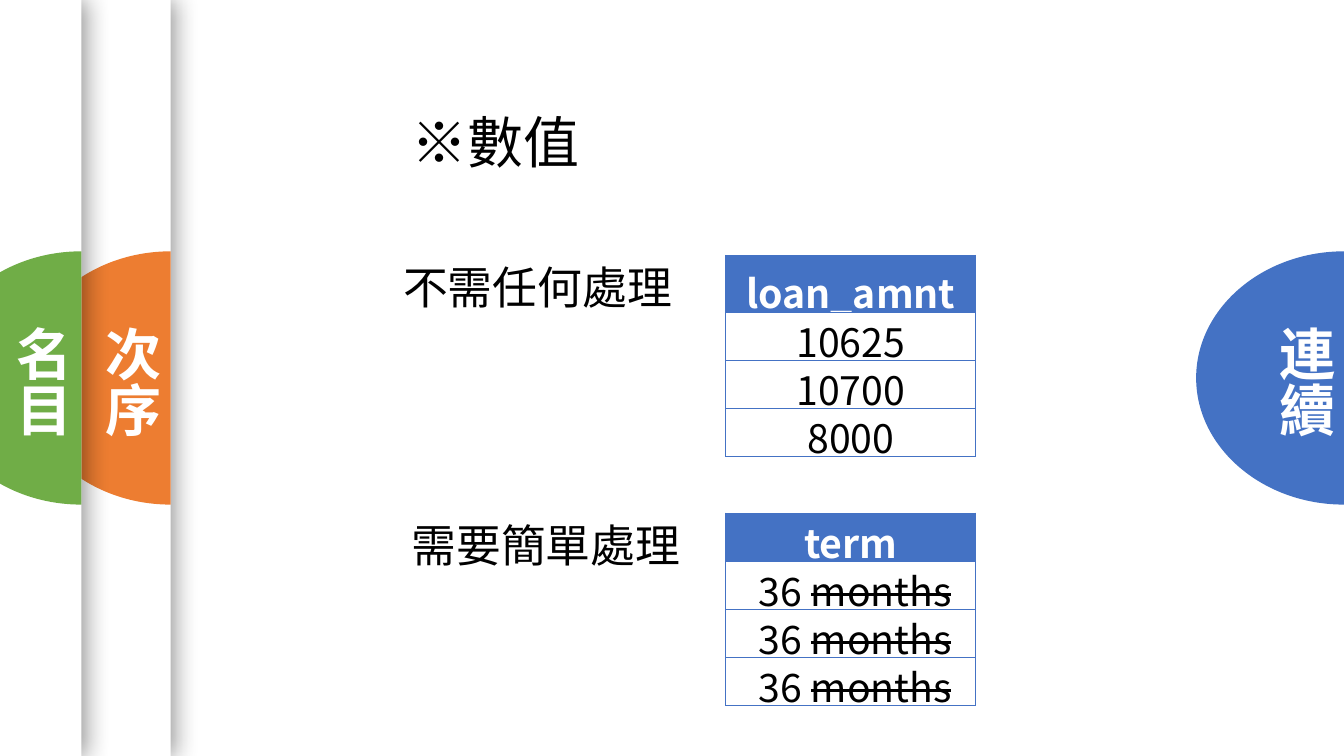
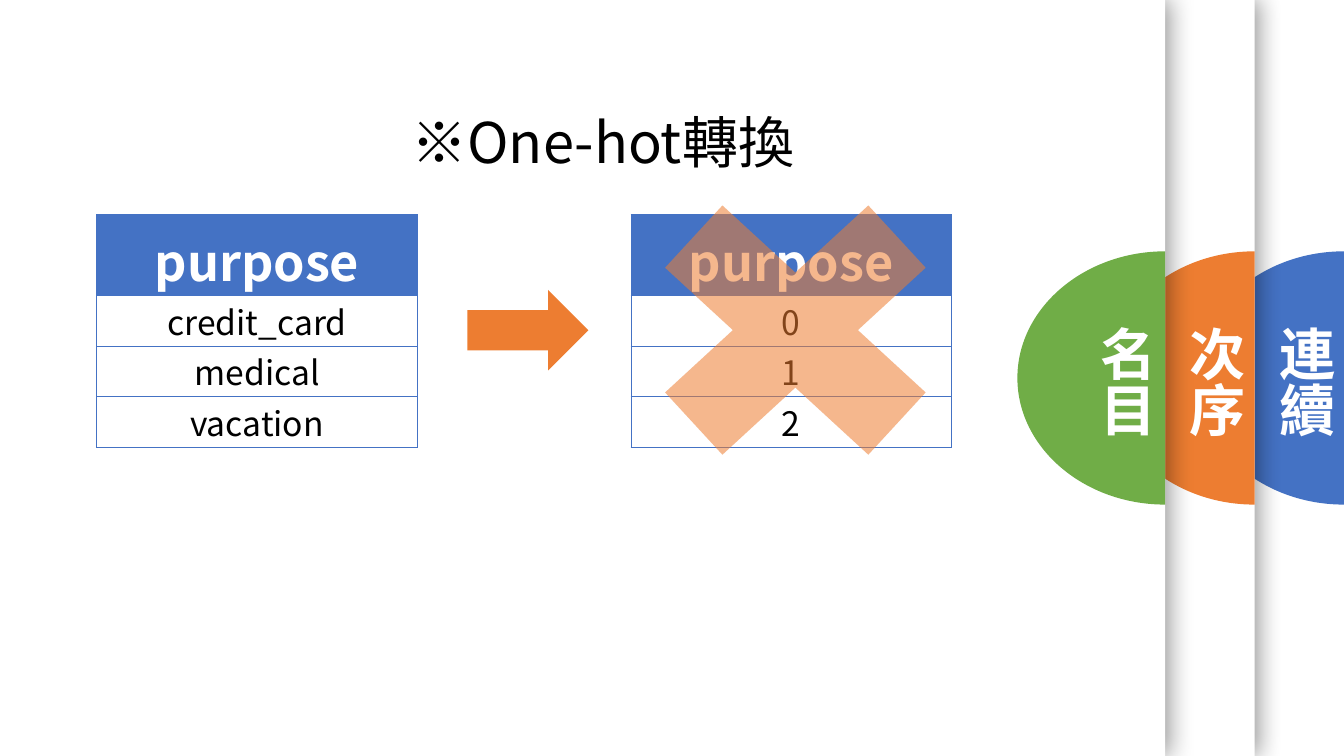
"""Build two slides on preparing numeric and nominal loan columns."""
import lxml.etree
import pptx
import pptx.dml.color
import pptx.enum.shapes
import pptx.enum.text
import pptx.oxml.ns
import pptx.util

BLUE = pptx.dml.color.RGBColor(0x44, 0x72, 0xC4)
ORANGE = pptx.dml.color.RGBColor(0xED, 0x7D, 0x31)
GREEN = pptx.dml.color.RGBColor(0x70, 0xAD, 0x47)
WHITE = pptx.dml.color.RGBColor(0xFF, 0xFF, 0xFF)
BLACK = pptx.dml.color.RGBColor(0x00, 0x00, 0x00)
FONT = "Noto Sans CJK TC"
SHAPE = pptx.enum.shapes.MSO_SHAPE
ANCHOR = pptx.enum.text.MSO_ANCHOR
ALIGN = pptx.enum.text.PP_ALIGN
qn = pptx.oxml.ns.qn

TABS = [("連續", BLUE), ("次序", ORANGE), ("名目", GREEN)]
TAB_STEP, TAB_SHIFT = 6.65, 80.65
DISC_W, DISC_TOP, DISC_H = 11, 33.25, 33.5
CURVE = 0.55
SHADOW = (
    '<a:effectLst xmlns:a="http://schemas.openxmlformats.org/drawingml/2006/main">'
    '<a:outerShdw blurRad="215900" dist="38100" dir="0" algn="l" rotWithShape="0">'
    '<a:srgbClr val="000000"><a:alpha val="40000"/></a:srgbClr>'
    "</a:outerShdw></a:effectLst>"
)

SLIDES = [
    {
        "title": "※數值",
        "tabs_moved": True,
        "labels": [("不需任何處理", 29.25, 33.7, 24), ("需要簡單處理", 29.88, 67.85, 23.4)],
        "tables": [
            (54, 33.75, 18.6, (7.57, 6.35), (28, 28), ["loan_amnt", "10625", "10700", "8000"]),
            (54, 67.85, 18.6, (6.35, 6.35), (28, 28), ["term"] + [" 36 months"] * 3),
        ],
        "marks": [],
    },
    {
        "title": "※One-hot轉換",
        "tabs_moved": False,
        "labels": [],
        "tables": [
            (7.2, 28.4, 23.85, (10.53, 6.67), (36, 24), ["purpose", "credit_card", "medical", "vacation"]),
            (46.95, 28.4, 23.85, (10.53, 6.67), (36, 24), ["purpose", "0", "1", "2"]),
        ],
        "marks": [
            (SHAPE.RIGHT_ARROW, 100, (34.78, 38.35, 9, 10.65)),
            (SHAPE.MATH_MULTIPLY, 55, (44.63, 19.87, 29.1, 47.6)),
        ],
    },
]

prs = pptx.Presentation()
prs.slide_width, prs.slide_height = pptx.util.Inches(13.33), pptx.util.Inches(7.5)


def place(x, y, w, h):
    """Turn shares of the slide, in percent, into left, top, width and height."""
    sx, sy = prs.slide_width / 100, prs.slide_height / 100
    return int(x * sx), int(y * sy), int(w * sx), int(h * sy)


def write(tf, text, size, color, bold=False, align=ALIGN.LEFT):
    """Put one paragraph in a text frame; months are struck out."""
    tf.word_wrap = True
    p = tf.paragraphs[0]
    p.alignment = align
    p.font.size, p.font.bold = pptx.util.Pt(size), bold
    p.font.color.rgb = color
    p.font.name = FONT
    lxml.etree.SubElement(p.font._element, qn("a:ea"), typeface=FONT)
    kept, unit, _ = text.partition("months")
    p.add_run().text = kept
    if unit:
        r = p.add_run()
        r.text = unit
        r.font._element.set("strike", "sngStrike")


for page in SLIDES:
    s = prs.slides.add_slide(prs.slide_layouts[5])

    for i, (name, color) in enumerate(TABS):
        moved = i > 0 and page["tabs_moved"]
        edge = 100 - i * TAB_STEP - (TAB_SHIFT if moved else 0)
        panel = s.shapes.add_shape(SHAPE.RECTANGLE, *place(edge - 100, 0, 100, 100))
        panel.fill.solid()
        panel.fill.fore_color.rgb = WHITE
        panel.line.fill.background()
        panel.element.spPr.append(lxml.etree.fromstring(SHADOW))

        x, y, w, h = place(edge - DISC_W, DISC_TOP, DISC_W, DISC_H)
        builder = s.shapes.build_freeform(x + w, y)
        builder.add_line_segments([(x + w, y + h), (x, y + h // 2), (x + w, y)], close=True)
        disc = builder.convert_to_shape()
        near, far = (1 - CURVE) / 2, (1 + CURVE) / 2
        arcs = [
            [(1 - CURVE, 1), (0, far), (0, 0.5)],
            [(0, near), (1 - CURVE, 0), (1, 0)],
        ]
        lines = disc.element.spPr.findall(".//" + qn("a:lnTo"))[1:3]
        for line, arc in zip(lines, arcs):
            curve = lxml.etree.Element(qn("a:cubicBezTo"))
            for px, py in arc:
                lxml.etree.SubElement(curve, qn("a:pt"), x=str(int(px * w)), y=str(int(py * h)))
            line.getparent().replace(line, curve)
        disc.shadow.inherit = False
        disc.fill.solid()
        disc.fill.fore_color.rgb = color
        disc.line.fill.background()

        tb = s.shapes.add_textbox(*place(edge - 6.62, 41.8, 6.6, 22))
        write(tb.text_frame, name, 40, WHITE, bold=True)
        tb.text_frame._txBody.bodyPr.set("vert", "eaVert")

    title = s.shapes.title
    title.left, title.top, title.width, title.height = place(29.87, 13.6, 35.5, 10.3)
    title.text_frame.auto_size = pptx.enum.text.MSO_AUTO_SIZE.NONE
    title.text_frame.vertical_anchor = ANCHOR.TOP
    write(title.text_frame, page["title"], 40, BLACK)
    title.element.getparent().append(title.element)

    for text, x, y, w in page["labels"]:
        tb = s.shapes.add_textbox(*place(x, y, w, 8.5))
        write(tb.text_frame, text, 32, BLACK)

    for x, y, w, heights, sizes, rows in page["tables"]:
        total = heights[0] + heights[1] * (len(rows) - 1)
        table = s.shapes.add_table(len(rows), 1, *place(x, y, w, total)).table
        table.horz_banding = False
        for i, text in enumerate(rows):
            head = i == 0
            height = heights[0 if head else 1]
            table.rows[i].height = place(0, 0, 0, height)[3]
            cell = table.cell(i, 0)
            cell.margin_left = cell.margin_right = cell.margin_top = cell.margin_bottom = 0
            if height > heights[1]:
                cell.margin_top = pptx.util.Inches(0.08)
            cell.vertical_anchor = ANCHOR.MIDDLE
            write(cell.text_frame, text, sizes[0 if head else 1],
                  WHITE if head else BLACK, head, ALIGN.CENTER)
            tcPr = cell._tc.get_or_add_tcPr()
            for side in ("a:lnL", "a:lnR", "a:lnT", "a:lnB"):
                ln = lxml.etree.SubElement(tcPr, qn(side), w="6350")
                fill = lxml.etree.SubElement(ln, qn("a:solidFill"))
                lxml.etree.SubElement(fill, qn("a:srgbClr"), val=str(BLUE))
            cell.fill.solid()
            cell.fill.fore_color.rgb = BLUE if head else WHITE

    for kind, opacity, box in page["marks"]:
        mark = s.shapes.add_shape(kind, *place(*box))
        mark.shadow.inherit = False
        mark.fill.solid()
        mark.fill.fore_color.rgb = ORANGE
        mark.line.fill.background()
        if opacity < 100:
            clr = mark.element.spPr.find(".//" + qn("a:srgbClr"))
            lxml.etree.SubElement(clr, qn("a:alpha"), val=str(opacity * 1000))

prs.save("out.pptx")
